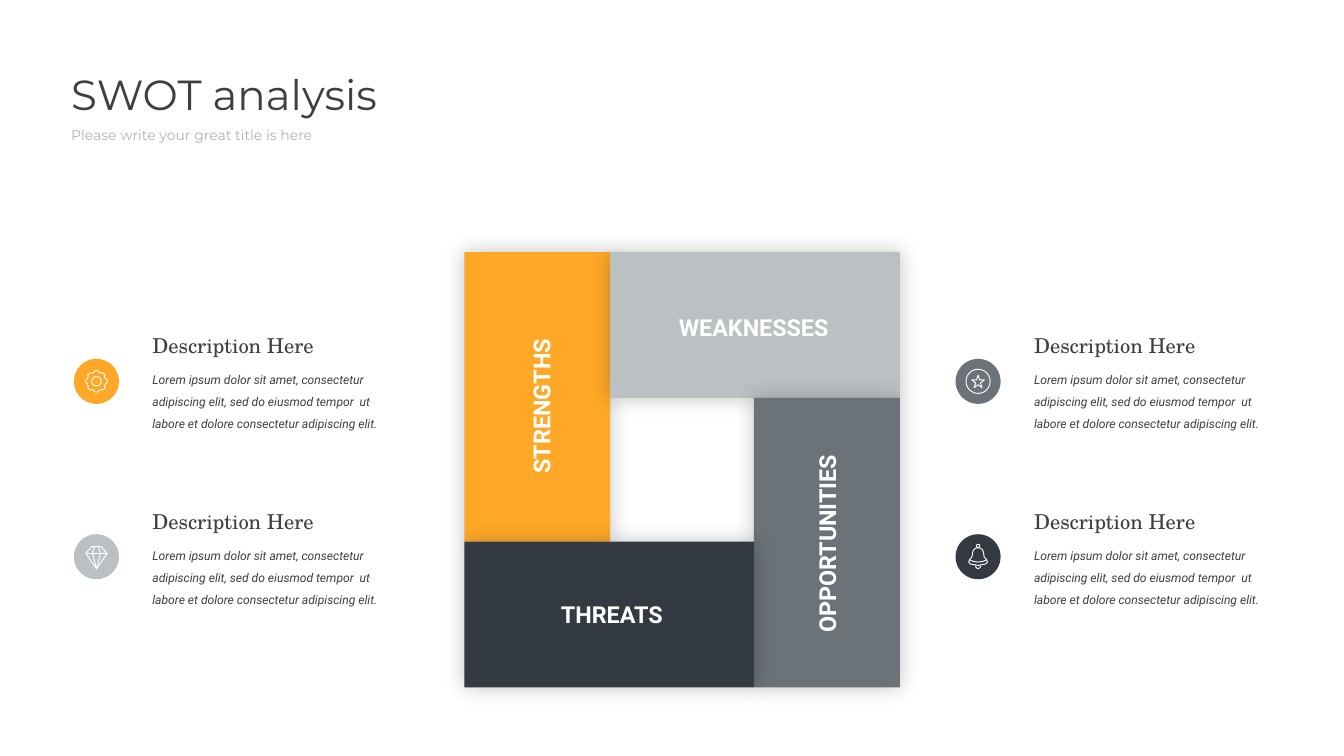
import math

import lxml.etree
import pptx
import pptx.dml.color
import pptx.enum.shapes
import pptx.enum.text
import pptx.oxml.ns
import pptx.util

Inches = pptx.util.Inches
RGBColor = pptx.dml.color.RGBColor
Shape = pptx.enum.shapes.MSO_SHAPE
Align = pptx.enum.text.PP_ALIGN

ORANGE = RGBColor(0xFF, 0xA8, 0x27)
SILVER = RGBColor(0xBB, 0xC0, 0xC3)
GRAY = RGBColor(0x6B, 0x72, 0x78)
NAVY = RGBColor(0x33, 0x3A, 0x42)
WHITE = RGBColor(0xFF, 0xFF, 0xFF)
DARK_TEXT = RGBColor(0x3F, 0x3F, 0x3F)
PALE_TEXT = RGBColor(0xB2, 0xB2, 0xB2)

DESCRIPTION = (
    "Lorem ipsum dolor sit amet, consectetur adipiscing elit, "
    "sed do eiusmod tempor  ut labore et dolore consectetur adipiscing elit."
)
BADGE_SIZE = 0.67


def add_text(slide, text, left, top, width, height, *, size, font="Roboto", color=DARK_TEXT,
             bold=False, italic=False, align=Align.LEFT, line_spacing=None, rotation=0):
    box = slide.shapes.add_textbox(Inches(left), Inches(top), Inches(width), Inches(height))
    box.rotation = rotation
    box.text_frame.word_wrap = True
    paragraph = box.text_frame.paragraphs[0]
    paragraph.alignment = align
    paragraph.line_spacing = line_spacing
    run = paragraph.add_run()
    run.text = text
    run.font.name = font
    run.font.size = pptx.util.Pt(size)
    run.font.bold = bold
    run.font.italic = italic
    run.font.color.rgb = color


def add_filled(slide, kind, left, top, width, height, color):
    shape = slide.shapes.add_shape(kind, Inches(left), Inches(top), Inches(width), Inches(height))
    shape.shadow.inherit = False
    shape.fill.solid()
    shape.fill.fore_color.rgb = color
    shape.line.fill.background()
    return shape


def add_glow(shape):
    """Soft black shadow spreading evenly on all sides."""
    effects = shape._element.spPr.find(pptx.oxml.ns.qn("a:effectLst"))
    shadow = lxml.etree.SubElement(effects, pptx.oxml.ns.qn("a:outerShdw"),
                                   blurRad=str(pptx.util.Pt(23)), dist="0", algn="ctr", rotWithShape="0")
    color = lxml.etree.SubElement(shadow, pptx.oxml.ns.qn("a:srgbClr"), val="000000")
    lxml.etree.SubElement(color, pptx.oxml.ns.qn("a:alpha"), val="24000")


def style_stroke(shape):
    shape.shadow.inherit = False
    shape.fill.background()
    shape.line.color.rgb = WHITE
    shape.line.width = pptx.util.Pt(1)


def stroke_preset(slide, kind, center_x, center_y, size):
    shape = slide.shapes.add_shape(kind, Inches(center_x - size / 2), Inches(center_y - size / 2),
                                   Inches(size), Inches(size))
    style_stroke(shape)


def stroke_path(slide, center_x, center_y, points, close=False):
    """Draw points given relative to the icon centre."""
    points = [(Inches(center_x + x), Inches(center_y + y)) for x, y in points]
    builder = slide.shapes.build_freeform(*points[0])
    builder.add_line_segments(points[1:], close=close)
    style_stroke(builder.convert_to_shape())


def mirrored(half):
    """Complete a path that runs from the left side to the vertical axis."""
    return half + [(-x, y) for x, y in reversed(half) if x]


def draw_gear(slide, x, y):
    tooth = [(-15, 0.14), (-8, 0.16), (8, 0.16), (15, 0.14)]
    angles = [(math.radians(45 * index + offset), radius)
              for index in range(8) for offset, radius in tooth]
    stroke_path(slide, x, y, [(r * math.cos(a), r * math.sin(a)) for a, r in angles], close=True)
    stroke_preset(slide, Shape.OVAL, x, y, 0.14)


def draw_diamond(slide, x, y):
    stroke_path(slide, x, y, mirrored([(0, 0.18), (-0.16, -0.05), (-0.07, -0.15)]), close=True)
    stroke_path(slide, x, y, [(-0.16, -0.05), (0.16, -0.05)])
    stroke_path(slide, x, y, mirrored([(-0.03, -0.15), (-0.06, -0.05), (0, 0.18)]))


def draw_star(slide, x, y):
    stroke_preset(slide, Shape.OVAL, x, y, 0.36)
    stroke_preset(slide, Shape.STAR_5_POINT, x, y, 0.19)


def draw_bell(slide, x, y):
    stroke_path(slide, x, y, mirrored([
        (0, 0.13), (-0.05, 0.12), (-0.11, 0.11), (-0.14, 0.08), (-0.13, 0.05), (-0.09, 0),
        (-0.08, -0.07), (-0.06, -0.11), (-0.03, -0.13), (0, -0.13)]), close=True)
    stroke_path(slide, x, y, mirrored([(-0.12, 0.05), (-0.07, 0.07), (0, 0.08)]))
    stroke_path(slide, x, y, mirrored([(-0.04, 0.13), (-0.03, 0.16), (0, 0.18)]))
    stroke_preset(slide, Shape.OVAL, x, y - 0.16, 0.05)


def add_header(slide, left, top):
    add_text(slide, "SWOT analysis", left, top, 7.05, 0.86, size=45, font="Montserrat")
    add_text(slide, "Please write your great title is here", left, top + 0.86, 4.62, 0.35,
             size=15, font="Montserrat", color=PALE_TEXT)


def add_pinwheel(slide, left, top, side):
    """Four interlocking panels around an open centre, then their labels."""
    short = 2.17
    long = side - short
    # label, colour, panel offset and size, label shift from the panel centre
    panels = [
        ("STRENGTHS", ORANGE, 0, 0, short, long, 0.06, 0.14),
        ("WEAKNESSES", SILVER, short, 0, long, short, -0.02, 0.03),
        ("OPPORTUNITIES", GRAY, long, short, short, long, 0, 0.02),
        ("THREATS", NAVY, 0, long, long, short, 0.04, 0),
    ]
    for _, color, x, y, width, height, _, _ in panels:
        add_glow(add_filled(slide, Shape.RECTANGLE, left + x, top + y, width, height, color))
    label_width, label_height = 3.04, 0.52
    for label, _, x, y, width, height, shift_x, shift_y in panels:
        add_text(slide, label,
                 left + x + (width - label_width) / 2 + shift_x,
                 top + y + (height - label_height) / 2 + shift_y,
                 label_width, label_height, size=25, color=WHITE, bold=True,
                 align=Align.CENTER, rotation=270 if height > width else 0)


def add_description(slide, left, top, color, draw_icon):
    text_left = left + 1.07
    add_text(slide, "Description Here", text_left, top, 3.04, 0.47, size=22, font="TeX Gyre Schola")
    add_text(slide, DESCRIPTION, text_left, top + 0.48, 3.84, 1.09, size=13, italic=True,
             line_spacing=1.5)
    badge_top = top + 0.43
    add_filled(slide, Shape.OVAL, left, badge_top, BADGE_SIZE, BADGE_SIZE, color)
    draw_icon(slide, left + BADGE_SIZE / 2, badge_top + BADGE_SIZE / 2)


def main():
    presentation = pptx.Presentation()
    presentation.slide_width = Inches(20)
    presentation.slide_height = Inches(11.25)
    slide = presentation.slides.add_slide(presentation.slide_layouts[6])

    add_header(slide, 0.96, 0.97)
    add_pinwheel(slide, 6.91, 3.75, 6.48)
    columns = [
        (1.1, [(ORANGE, draw_gear), (SILVER, draw_diamond)]),
        (14.22, [(GRAY, draw_star), (NAVY, draw_bell)]),
    ]
    for left, items in columns:
        for row, (color, draw_icon) in enumerate(items):
            add_description(slide, left, 4.91 + 2.61 * row, color, draw_icon)

    presentation.save("out.pptx")


if __name__ == "__main__":
    main()
